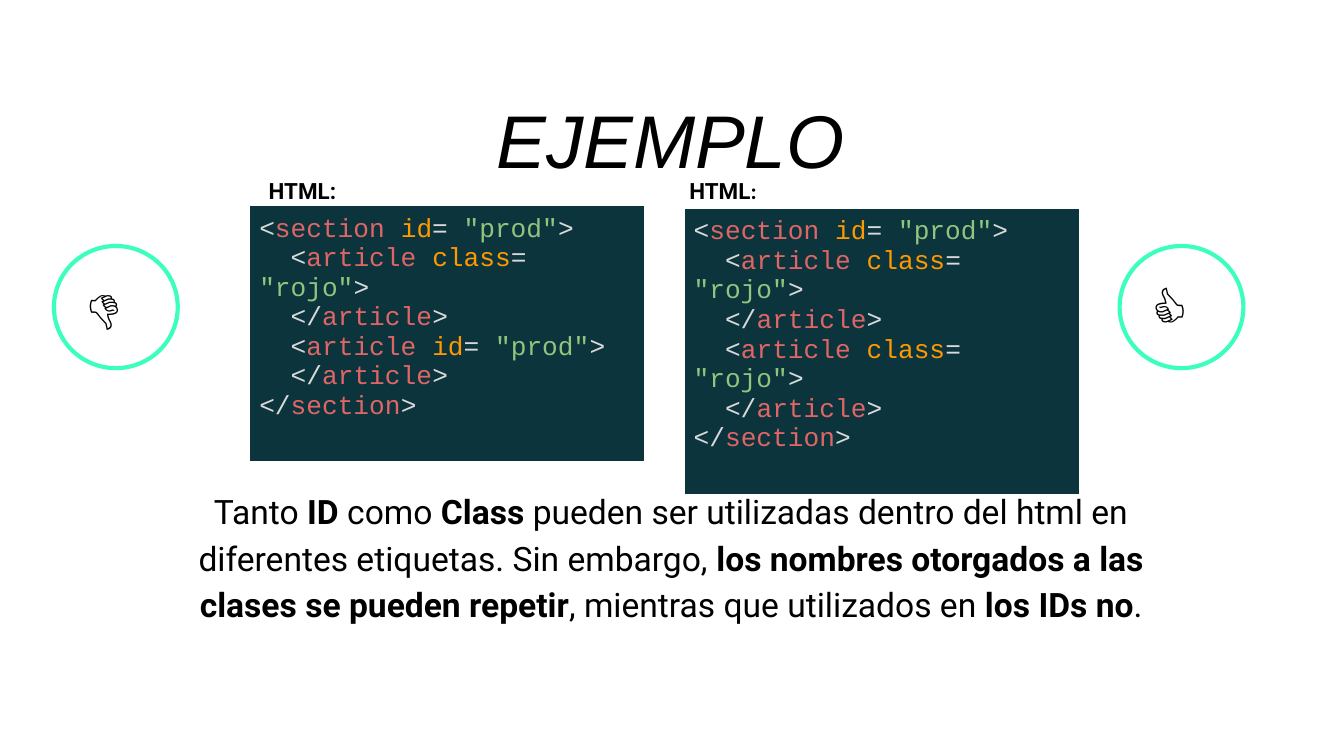
from lxml import etree
from pptx import Presentation
from pptx.dml.color import RGBColor
from pptx.enum.shapes import MSO_SHAPE
from pptx.enum.text import MSO_ANCHOR, PP_ALIGN
from pptx.oxml.ns import qn
from pptx.util import Cm, Pt

ELLIPSE = MSO_SHAPE.OVAL
TOP, MIDDLE = MSO_ANCHOR.TOP, MSO_ANCHOR.MIDDLE
LEFT, CENTER = PP_ALIGN.LEFT, PP_ALIGN.CENTER

BLACK = RGBColor(0x00, 0x00, 0x00)
WHITE = RGBColor(0xFF, 0xFF, 0xFF)
MINT = RGBColor(0x3D, 0xFF, 0xBC)
CODE_FILL = RGBColor(0x0C, 0x34, 0x3D)
SYMBOL = RGBColor(0xD9, 0xD9, 0xD9)
TAG = RGBColor(0xE0, 0x66, 0x66)
ATTRIBUTE = RGBColor(0xFF, 0x99, 0x00)
VALUE = RGBColor(0x93, 0xC4, 0x7D)

# Content
TITLE = "EJEMPLO"
BREAK = ("\n", None)


def opening(tag, attribute, value, indent=""):
    return [(indent + "<", SYMBOL), (tag + " ", TAG), (attribute, ATTRIBUTE),
            ("= ", SYMBOL), (f'"{value}"', VALUE), (">", SYMBOL)]


def closing(tag, indent=""):
    return [(indent + "</", SYMBOL), (tag, TAG), (">", SYMBOL)]


def section(*articles):
    return [opening("section", "id", "prod"),
            *[opening("article", attribute, value, "  ") + [BREAK]
              + closing("article", "  ") for attribute, value in articles],
            closing("section")]


# Each example: code, table left, table top, code row height,
# label runs, label left, verdict, verdict left (cm)
EXAMPLES = [
    (section(("class", "rojo"), ("id", "prod")), 4.72, 3.89, 4.83,
     [("HTML:", "Roboto")], 4.83, "👎", 1.02),
    (section(("class", "rojo"), ("class", "rojo")), 12.93, 3.94, 5.41,
     [("HTML", "Roboto"), (":", "Calibri")], 12.78, "👍", 21.16),
]
EXPLANATION = [
    ("Tanto ", False), ("ID ", True), ("como ", False), ("Class ", True),
    ("pueden ser utilizadas dentro del html en diferentes etiquetas. "
     "Sin embargo, ", False),
    ("los nombres otorgados a las clases se pueden repetir", True),
    (", mientras que utilizados en ", False), ("los IDs no", True), (".", False),
]

# Shared sizes (cm)
CODE_WIDTH, EMPTY_ROW = 7.47, 4.6
LABEL_TOP, LABEL_WIDTH, LABEL_HEIGHT = 3.02, 8.33, 0.91
VERDICT_TOP, VERDICT_WIDTH, VERDICT_HEIGHT = 4.65, 2.34, 2.31


def add_run(paragraph, text, font, size, color, bold=False, italic=False):
    run = paragraph.add_run()
    run.text = text
    run.font.name, run.font.size = font, Pt(size)
    run.font.bold, run.font.italic = bold, italic
    run.font.color.rgb = color


def prepare(frame, anchor=TOP, align=LEFT, spacing=1.0):
    frame.word_wrap = True
    frame.vertical_anchor = anchor
    frame.margin_left = frame.margin_right = Cm(0.25)
    frame.margin_top = frame.margin_bottom = Cm(0.25)
    paragraph = frame.paragraphs[0]
    paragraph.alignment, paragraph.line_spacing = align, spacing
    return paragraph


def add_borders(cell):
    properties = cell._tc.get_or_add_tcPr()
    for position, side in enumerate(("a:lnL", "a:lnR", "a:lnT", "a:lnB")):
        line = etree.Element(qn(side), w=str(Pt(0.75)))
        fill = etree.SubElement(line, qn("a:solidFill"))
        etree.SubElement(fill, qn("a:srgbClr"), val=str(WHITE))
        properties.insert(position, line)


def add_code(slide, code, left, top, height):
    table = slide.shapes.add_table(
        2, 1, Cm(left), Cm(top), Cm(CODE_WIDTH), Cm(height + EMPTY_ROW)).table
    table.first_row = table.horz_banding = False
    table.rows[0].height, table.rows[1].height = Cm(height), Cm(EMPTY_ROW)
    code_cell, empty_cell = table.cell(0, 0), table.cell(1, 0)
    code_cell.fill.solid()
    code_cell.fill.fore_color.rgb = CODE_FILL
    empty_cell.fill.background()
    for cell in (code_cell, empty_cell):
        cell.margin_left = cell.margin_right = Cm(0.18)
        cell.margin_top = cell.margin_bottom = Cm(0.18)
        add_borders(cell)
    frame = code_cell.text_frame
    for number, tokens in enumerate(code):
        paragraph = frame.add_paragraph() if number else frame.paragraphs[0]
        for token in tokens:
            if token == BREAK:
                paragraph.add_line_break()
            else:
                add_run(paragraph, token[0], "Courier New", 14, token[1])


def add_label(slide, runs, left):
    label = slide.shapes.add_textbox(
        Cm(left), Cm(LABEL_TOP), Cm(LABEL_WIDTH), Cm(LABEL_HEIGHT))
    paragraph = prepare(label.text_frame, spacing=1.15)
    for text, font in runs:
        add_run(paragraph, text, font, 12, BLACK, bold=True)


def add_verdict(slide, thumb, left):
    circle = slide.shapes.add_shape(
        ELLIPSE, Cm(left), Cm(VERDICT_TOP), Cm(VERDICT_WIDTH), Cm(VERDICT_HEIGHT))
    circle.shadow.inherit = False
    circle.fill.solid()
    circle.fill.fore_color.rgb = WHITE
    circle.line.color.rgb = MINT
    circle.line.width = Pt(2.25)
    add_run(prepare(circle.text_frame, MIDDLE), thumb, "Arial", 30, BLACK)


def main():
    deck = Presentation()
    deck.slide_width, deck.slide_height = Cm(25.4), Cm(14.29)
    slide = deck.slides.add_slide(deck.slide_layouts[5])

    # Title
    title = slide.shapes.title
    title.left, title.top = Cm(4.01), Cm(1.27)
    title.width, title.height = Cm(17.32), Cm(1.93)
    heading = prepare(title.text_frame, align=CENTER, spacing=1.15)
    heading.space_after = Pt(6)
    add_run(heading, TITLE, "Arial", 40, BLACK, italic=True)

    # Code examples with their labels
    for code, left, top, height, label, label_left, _, _ in EXAMPLES:
        add_code(slide, code, left, top, height)
        add_label(slide, label, label_left)

    # Explanation
    explanation = slide.shapes.add_textbox(Cm(3.02), Cm(8.92), Cm(19.33), Cm(4.09))
    paragraph = prepare(explanation.text_frame, align=CENTER, spacing=1.15)
    for text, bold in EXPLANATION:
        add_run(paragraph, text, "Roboto", 18, BLACK, bold=bold)

    # Verdicts
    for *_, thumb, left in EXAMPLES:
        add_verdict(slide, thumb, left)

    deck.save("out.pptx")


if __name__ == "__main__":
    main()
